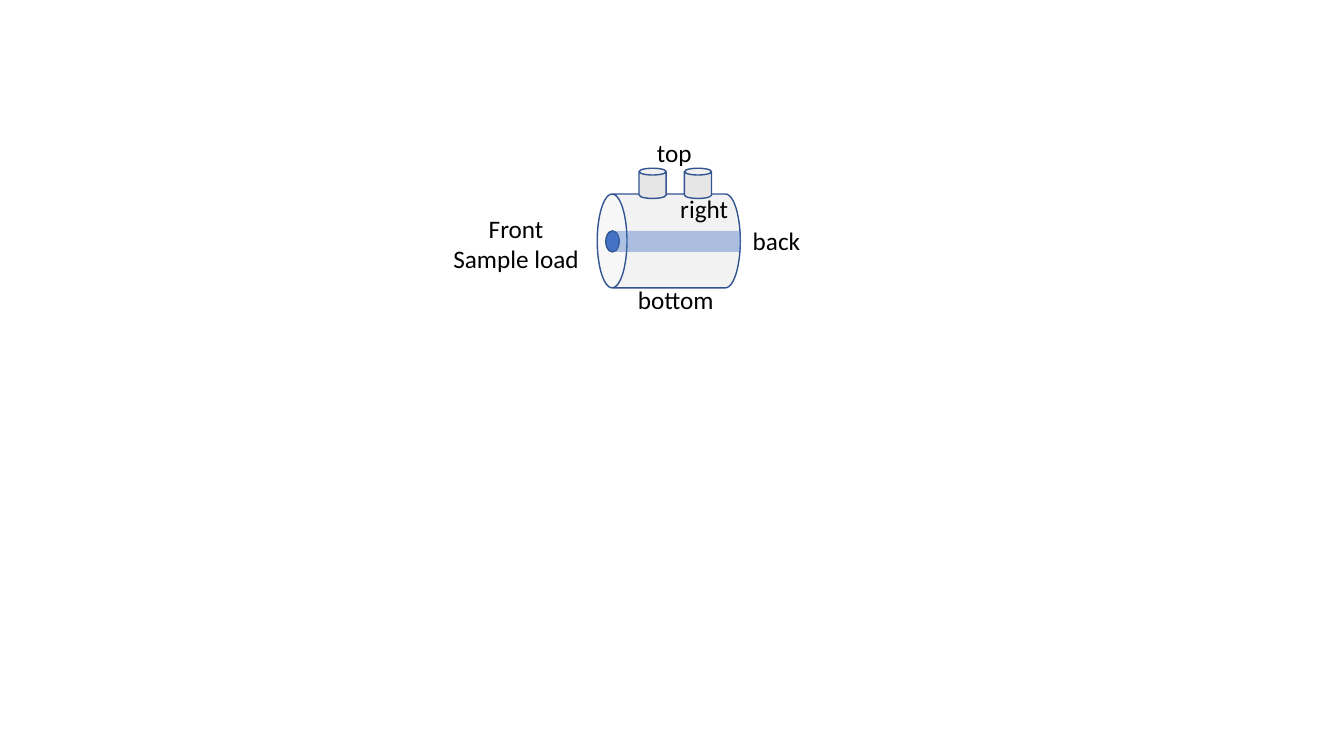
import pptx
import pptx.util
import pptx.dml.color
import pptx.enum.shapes
import pptx.enum.text
import lxml.etree

Pt = pptx.util.Pt
RGB = pptx.dml.color.RGBColor.from_string
SHAPE = pptx.enum.shapes.MSO_SHAPE
ALIGN = pptx.enum.text.PP_ALIGN

COLORS = {
    "blue": "4472C4",
    "outline": "325491",
    "body": "F2F2F2",
    "port": "E7E6E6",
    "text": "000000",
}

presentation = pptx.Presentation()
presentation.slide_width = Pt(960)
presentation.slide_height = Pt(540)
slide = presentation.slides.add_slide(presentation.slide_layouts[6])
device = slide.shapes.add_group_shape().shapes


def add_part(kind, left, top, width, height, fill, outlined=True):
    part = device.add_shape(kind, Pt(left), Pt(top), Pt(width), Pt(height))
    part.shadow.inherit = False
    part.fill.solid()
    part.fill.fore_color.rgb = RGB(COLORS[fill])
    if outlined:
        part.line.color.rgb = RGB(COLORS["outline"])
        part.line.width = Pt(1)
    else:
        part.line.fill.background()
    return part


def add_label(text, left, top, width, height, align=ALIGN.LEFT, size=18):
    frame = device.add_textbox(Pt(left), Pt(top), Pt(width), Pt(height)).text_frame
    frame.word_wrap = False
    frame.auto_size = pptx.enum.text.MSO_AUTO_SIZE.SHAPE_TO_FIT_TEXT
    frame.text = text
    for paragraph in frame.paragraphs:
        paragraph.alignment = align
        paragraph.font.name = "Calibri"
        paragraph.font.size = Pt(size)
        paragraph.font.color.rgb = RGB(COLORS["text"])


# Cylinder lying on its side, with the sample opening in its front face
body = add_part(SHAPE.CAN, 444.2, 121, 67, 102.2, "body")
body.rotation = 270
body.adjustments[0] = 0.317
add_part(SHAPE.OVAL, 432.7, 164.9, 9.6, 15.1, "blue")

# Names of the sides
add_label("Front\nSample load", 316.1, 149, 105.1, 51.1, align=ALIGN.CENTER)
for side, left, top, width in [
    ("back", 530.6, 157.7, 49),
    ("top", 462.2, 94.3, 39.6),
    ("bottom", 448.6, 199.4, 69.8),
    ("right", 478.8, 134.6, 49),
]:
    add_label(side, left, top, width, 28.8)

# Translucent channel running from front to back
channel = add_part(SHAPE.RECTANGLE, 437.8, 164.9, 91.4, 15.1, "blue", outlined=False)
channel_color = channel.fill._xPr.find(".//" + pptx.oxml.ns.qn("a:srgbClr"))
lxml.etree.SubElement(channel_color, pptx.oxml.ns.qn("a:alpha"), val="40000")

# Two ports on top
for port in range(2):
    add_part(SHAPE.CAN, 456.5 + port * 32.4, 120.2, 19.4, 21.6, "port")

presentation.save("out.pptx")
